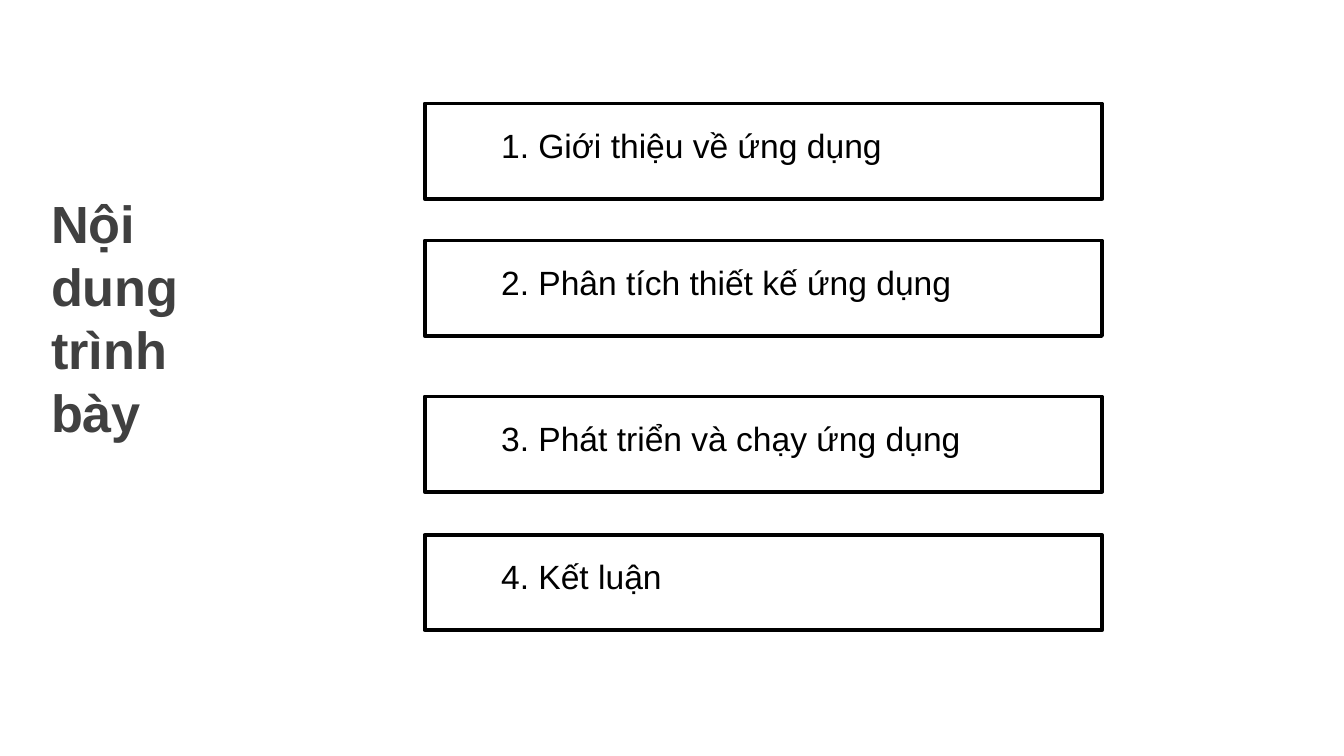
from pptx import Presentation
from pptx.dml.color import RGBColor
from pptx.enum.shapes import MSO_SHAPE
from pptx.enum.text import MSO_ANCHOR, MSO_AUTO_SIZE, PP_ALIGN
from pptx.util import Inches, Pt

HEADING = "Nội \vdung\vtrình\vbày"
AGENDA = [  # top of the frame, wording
    (0.77, "1. Giới thiệu về ứng dụng"),
    (1.79, "2. Phân tích thiết kế ứng dụng"),
    (2.95, "3. Phát triển và chạy ứng dụng"),
    (3.98, "4. Kết luận"),
]

THEME = {
    "heading": {"name": "Arial", "size": Pt(28), "bold": True, "color": "404040"},
    "item": {"name": "Arial", "size": Pt(18), "bold": False, "color": "000000"},
    "frame": "000000",
    "frame_width": Pt(2),
}
SLIDE_WIDTH = 10
SLIDE_HEIGHT = SLIDE_WIDTH * 9 / 16
HEADING_BOX = (0.28, 1.58, 2.05, 1.56)
FRAME_LEFT, FRAME_WIDTH, FRAME_HEIGHT = 3.16, 5.04, 0.71
LABEL_LEFT, LABEL_WIDTH, LABEL_HEIGHT = 3.63, 4.69, 0.4
LABEL_DROP = 0.11


def inches(*lengths):
    return [Inches(length) for length in lengths]


def write(holder, wording, style, frame_format):
    frame = holder.text_frame
    frame.text = wording
    for attribute, value in frame_format.items():
        setattr(frame, attribute, value)
    for paragraph in frame.paragraphs:
        paragraph.alignment = PP_ALIGN.LEFT
        for run in paragraph.runs:
            for attribute, value in style.items():
                if attribute == "color":
                    run.font.color.rgb = RGBColor.from_string(value)
                else:
                    setattr(run.font, attribute, value)


def add_heading(slide):
    heading = slide.shapes.title
    heading.left, heading.top, heading.width, heading.height = inches(*HEADING_BOX)
    write(heading, HEADING, THEME["heading"], {
        "word_wrap": True,
        "auto_size": MSO_AUTO_SIZE.NONE,
        "vertical_anchor": MSO_ANCHOR.MIDDLE,
    })


def add_agenda_item(slide, top, wording):
    """Group an outlined frame with its label."""
    item = slide.shapes.add_group_shape()
    frame = item.shapes.add_shape(
        MSO_SHAPE.RECTANGLE, *inches(FRAME_LEFT, top, FRAME_WIDTH, FRAME_HEIGHT))
    frame.shadow.inherit = False
    frame.fill.background()
    frame.line.color.rgb = RGBColor.from_string(THEME["frame"])
    frame.line.width = THEME["frame_width"]

    label = item.shapes.add_textbox(
        *inches(LABEL_LEFT, top + LABEL_DROP, LABEL_WIDTH, LABEL_HEIGHT))
    write(label, wording, THEME["item"], {
        "word_wrap": True,
        "auto_size": MSO_AUTO_SIZE.SHAPE_TO_FIT_TEXT,
    })


def main():
    presentation = Presentation()
    presentation.slide_width, presentation.slide_height = inches(
        SLIDE_WIDTH, SLIDE_HEIGHT)
    slide = presentation.slides.add_slide(presentation.slide_layouts[5])
    add_heading(slide)
    for top, wording in AGENDA:
        add_agenda_item(slide, top, wording)
    presentation.save("out.pptx")


if __name__ == "__main__":
    main()
